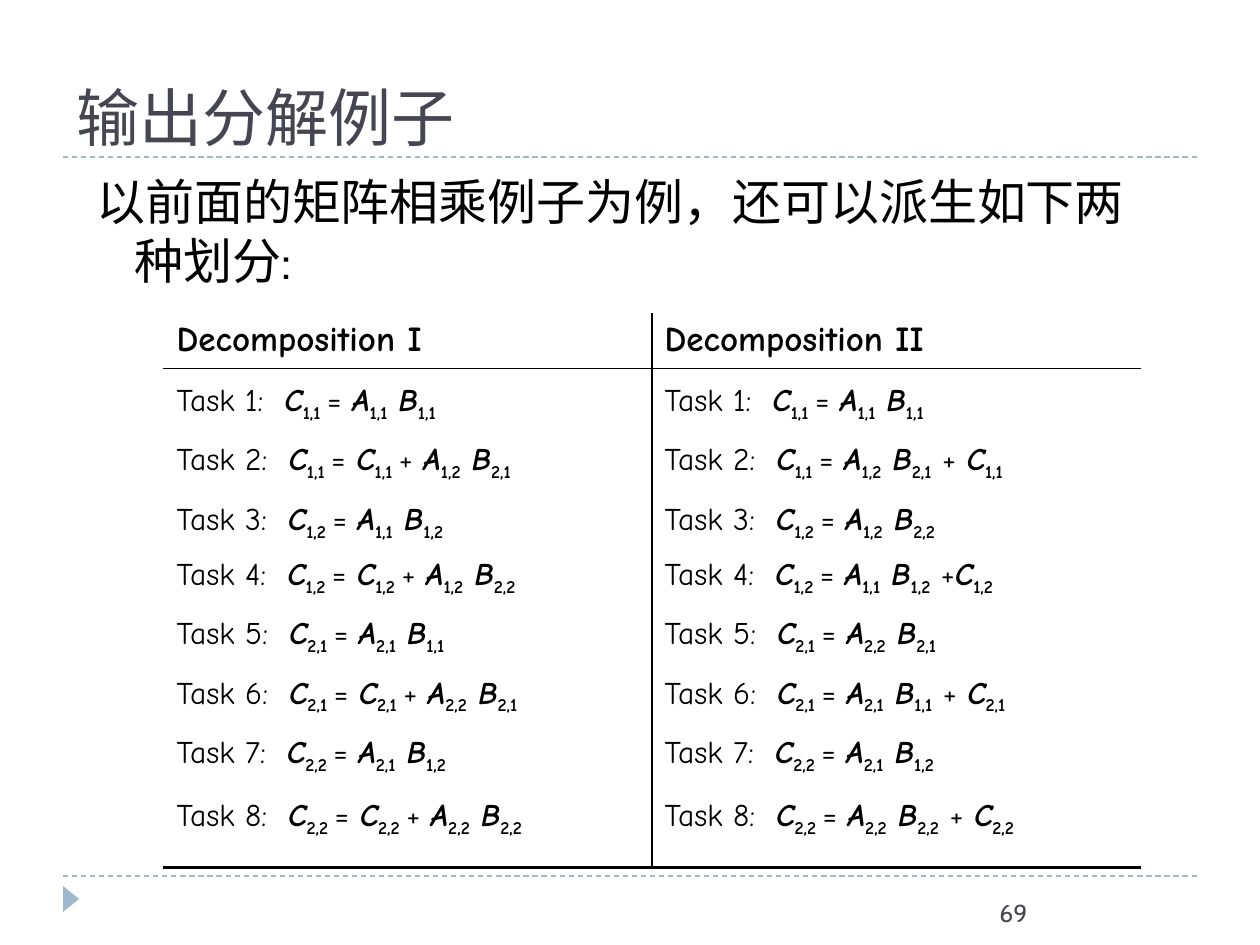
import itertools

import lxml.etree
import pptx
import pptx.dml.color
import pptx.enum.dml
import pptx.enum.shapes
import pptx.enum.text
import pptx.oxml.ns
import pptx.util

PIXELS_PER_INCH = 126
BLACK, SLATE, BLUE = "000000", "464653", "9FB8CD"
TASK_FONT = {"name": "Comic Neue", "size": 18, "color": BLACK}
PLAIN = {**TASK_FONT, "bold": False}
VARIABLE = {**TASK_FONT, "bold": True, "italic": True}
SUBSCRIPT = {**TASK_FONT, "bold": True, "italic": False}
HEADING = {**TASK_FONT, "size": 20, "bold": True}

# Line spacing of each task, and the inner index k of A(i,k) B(k,j)
LINE_SPACINGS = [1.2, 1.3, 1.3, 1.2, 1.3, 1.3, 1.3, 1.4]
INNER_FIRST = [1, 2, 1, 2, 1, 2, 1, 2]
INNER_SECOND = [1, 2, 2, 1, 2, 1, 1, 2]


def px(length):
    return pptx.util.Inches(length / PIXELS_PER_INCH)


def rgb(color):
    return pptx.dml.color.RGBColor.from_string(color)


def add_xml(parent, tag, **attributes):
    return lxml.etree.SubElement(parent, pptx.oxml.ns.qn(tag), attributes)


def add_run(paragraph, text, style):
    run = paragraph.add_run()
    run.text = text
    for key, value in style.items():
        if key == "color":
            run.font.color.rgb = rgb(value)
        elif key == "size":
            run.font.size = pptx.util.Pt(value)
        else:
            setattr(run.font, key, value)
    return run


def place(shape, left, top, width, height):
    bounds = {"left": left, "top": top, "width": width, "height": height}
    for key, value in bounds.items():
        setattr(shape, key, px(value))


def add_title(slide, text):
    title = slide.shapes.title
    place(title, 64, 55, 1132, 105)
    frame_format = {
        "vertical_anchor": pptx.enum.text.MSO_ANCHOR.BOTTOM,
        "auto_size": pptx.enum.text.MSO_AUTO_SIZE.NONE,
        "word_wrap": True,
    }
    for key, value in frame_format.items():
        setattr(title.text_frame, key, value)
    paragraph = title.text_frame.paragraphs[0]
    paragraph.alignment = pptx.enum.text.PP_ALIGN.LEFT
    add_run(paragraph, text, {"name": "TeX Gyre Bonum", "size": 36, "color": SLATE})


def add_text(slide, bounds, text, style):
    box = slide.shapes.add_textbox(*map(px, bounds))
    box.text_frame.word_wrap = True
    paragraph = box.text_frame.paragraphs[0]
    add_run(paragraph, text, {"name": "Cabin", **style})
    return paragraph


def add_dashed_rule(slide, y):
    rule = slide.shapes.add_connector(
        pptx.enum.shapes.MSO_CONNECTOR.STRAIGHT, px(63), px(y), px(1197), px(y))
    rule.line.color.rgb = rgb(BLUE)
    rule.line.width = pptx.util.Pt(0.75)
    rule.line.dash_style = pptx.enum.dml.MSO_LINE.DASH
    add_xml(rule._element.spPr, "a:effectLst")


def add_marker(slide):
    marker = slide.shapes.add_shape(
        pptx.enum.shapes.MSO_SHAPE.ISOSCELES_TRIANGLE, px(58), px(891), px(26), px(16))
    marker.rotation = 90
    marker.shadow.inherit = False
    marker.fill.solid()
    marker.fill.fore_color.rgb = rgb(BLUE)
    marker.line.fill.background()


def set_borders(cell, widths):
    """Draw black borders; widths maps sides, in the order L, R, T, B, to points."""
    properties = cell._tc.get_or_add_tcPr()
    for side, width in widths.items():
        line = add_xml(properties, f"a:ln{side}", w=str(pptx.util.Pt(width)))
        add_xml(add_xml(line, "a:solidFill"), "a:srgbClr", val=BLACK)
    cell.fill.background()


def space_before_percent(paragraph, percent):
    spacing = add_xml(paragraph._p.get_or_add_pPr(), "a:spcBef")
    add_xml(spacing, "a:spcPct", val=str(percent * 1000))


def add_term(paragraph, letter, subscript):
    add_run(paragraph, letter, VARIABLE)
    run = add_run(paragraph, subscript, SUBSCRIPT)
    run.font._element.set("baseline", "-25000")


def add_task(paragraph, number, inner, accumulate_first):
    """Write C(i,j) = A(i,k) B(k,j); even tasks add C(i,j) first or last."""
    targets = list(itertools.product((1, 2), repeat=2))
    row, column = targets[(number - 1) // 2]
    target = f"{row},{column}"
    accumulates = number % 2 == 0
    add_run(paragraph, f"Task {number}:  ", PLAIN)
    add_term(paragraph, "C", target + " ")
    add_run(paragraph, "= ", PLAIN)
    if accumulates and accumulate_first:
        add_term(paragraph, "C", target + " ")
        add_run(paragraph, "+ ", PLAIN)
    add_term(paragraph, "A", f"{row},{inner}")
    add_term(paragraph, " B", f"{inner},{column}")
    if accumulates and not accumulate_first:
        add_run(paragraph, " +" if number == 4 else " + ", PLAIN)
        add_term(paragraph, "C", target)


def fill_tasks(cell, inner_indices, accumulate_first):
    frame = cell.text_frame
    tasks = zip(inner_indices, LINE_SPACINGS)
    for number, (inner, line_spacing) in enumerate(tasks, 1):
        paragraph = frame.paragraphs[0] if number == 1 else frame.add_paragraph()
        space_before_percent(paragraph, 20)
        paragraph.line_spacing = line_spacing
        add_task(paragraph, number, inner, accumulate_first)


def add_decompositions(slide):
    table = slide.shapes.add_table(2, 2, px(164), px(314), px(976), px(529)).table
    table.first_row = table.horz_banding = False
    for row, height in zip(table.rows, (52, 477)):
        row.height = px(height)
    columns = [("Decomposition I", INNER_FIRST, "R"),
               ("Decomposition II", INNER_SECOND, "L")]
    for index, (heading, inner_indices, inner_side) in enumerate(columns):
        head, body = table.cell(0, index), table.cell(1, index)
        paragraph = head.text_frame.paragraphs[0]
        space_before_percent(paragraph, 20)
        add_run(paragraph, heading, HEADING)
        set_borders(head, {inner_side: 1, "B": 1})
        fill_tasks(body, inner_indices, accumulate_first=index == 0)
        set_borders(body, {inner_side: 1, "T": 1, "B": 2.25})


def main():
    presentation = pptx.Presentation()
    presentation.slide_width, presentation.slide_height = px(1260), px(945)
    slide = presentation.slides.add_slide(presentation.slide_layouts[5])
    for y in (876, 157):
        add_dashed_rule(slide, y)
    add_marker(slide)
    add_title(slide, "输出分解例子")
    intro = add_text(slide, (84, 165, 1081, 170),
                     "以前面的矩阵相乘例子为例，还可以派生如下两种划分:",
                     {"size": 28, "color": BLACK})
    intro.space_before = pptx.util.Pt(6)
    indent = px(38)
    for key, value in {"marL": indent, "indent": -indent}.items():
        intro._p.get_or_add_pPr().set(key, str(value))
    add_decompositions(slide)
    add_text(slide, (987, 892, 262, 63), "69", {"size": 14, "color": SLATE})
    presentation.save("out.pptx")


if __name__ == "__main__":
    main()
